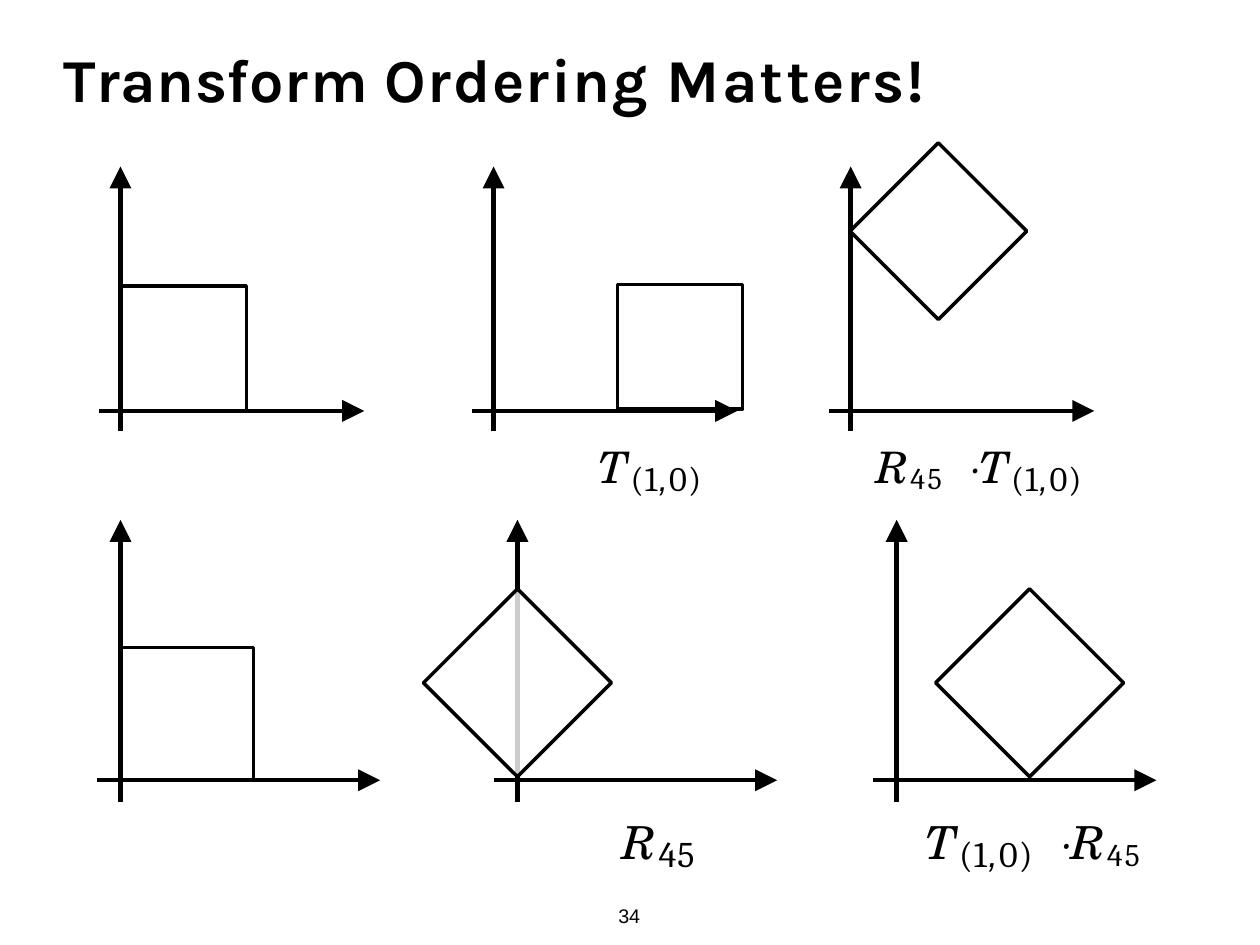
from dataclasses import dataclass
from math import sqrt

from lxml import etree
from pptx import Presentation
from pptx import util as u
from pptx.dml import color
from pptx.enum import shapes, text
from pptx.oxml import ns


@dataclass(frozen=True)
class Glyph:
    font: str
    scale: float
    baseline: int
    italic: bool
    spacing: float


@dataclass(frozen=True)
class Theme:
    ink: color.RGBColor = color.RGBColor(0, 0, 0)
    paper: color.RGBColor = color.RGBColor(255, 255, 255)
    veil: int = 80
    title_font: str = "Karla"
    title_size: float = 49.5
    number_font: str = "Arial"
    number_size: float = 16
    axis_width: float = 3.56
    outline_width: float = 2.84
    formula_indent: float = 0.04


@dataclass(frozen=True)
class Row:
    top: float
    base: float
    bottom: float
    back: float
    ahead: float
    side: float
    formula_top: float
    formula_size: float


GLYPHS = {
    "symbol": Glyph("TeX Gyre Schola", 1, 10, True, 1.6),
    "dot": Glyph("Karla", 1, 10, True, -5.8),
    "index": Glyph("Cambria", 0.46, 0, False, 0.9),
    "comma": Glyph("Arial", 0.46, 0, True, 0.9),
    "raised": Glyph("Cambria", 0.69, 2, False, 2),
}
TRANSLATE = [("T", "symbol"), ("(1", "index"), (",", "comma")]
UPPER = Row(1.88, 4.64, 4.87, 0.24, 2.75, 1.41, 4.69, 60.8)
LOWER = Row(5.87, 8.81, 9.05, 0.27, 2.93, 1.5, 8.9, 63.8)


class Slide:
    def __init__(self, page, theme):
        self.page = page
        self.theme = theme

    def textbox(self, left, top, width, height, inset=0.01):
        box = self.page.shapes.add_textbox(*map(u.Inches, (left, top, width, height)))
        frame = box.text_frame
        frame.word_wrap = True
        frame.vertical_anchor = text.MSO_ANCHOR.TOP
        frame.margin_left = frame.margin_right = frame.margin_bottom = 0
        frame.margin_top = u.Inches(inset)
        return frame.paragraphs[0]

    def style(self, font, name, size):
        font.name = name
        font.size = u.Pt(size)
        font.color.rgb = self.theme.ink

    def span(self, para, words, spacing):
        span = para.add_run()
        span.text = words
        properties = span._r.get_or_add_rPr()
        properties.set("spc", str(round(spacing * 100)))
        return span, properties

    def title(self, spans):
        para = self.textbox(0.72, 0.2, 12.23, 1.92, 0.27)
        self.style(para.font, self.theme.title_font, self.theme.title_size)
        para.font.bold = True
        for words, spacing in spans:
            self.span(para, words, spacing)

    def number(self, words):
        para = self.textbox(6.94, 10.19, 0.34, 0.29)
        self.indent(para)
        self.style(para.font, self.theme.number_font, self.theme.number_size)
        self.span(para, words, -0.2)

    def indent(self, para, tab=None):
        properties = para._p.get_or_add_pPr()
        properties.set("marL", str(u.Inches(self.theme.formula_indent)))
        if tab:
            stops = etree.SubElement(properties, ns.qn("a:tabLst"))
            etree.SubElement(stops, ns.qn("a:tab"), pos=str(u.Inches(tab)), algn="l")

    def formula(self, row, left, width, spans, tab=None):
        para = self.textbox(left, row.formula_top, width, 0.74)
        self.indent(para, tab)
        for words, kind in spans:
            glyph = GLYPHS[kind]
            span, properties = self.span(para, words, glyph.spacing)
            self.style(span.font, glyph.font, round(row.formula_size * glyph.scale, 1))
            span.font.italic = glyph.italic
            if glyph.baseline:
                properties.set("baseline", str(glyph.baseline * 1000))

    def arrow(self, *ends):
        line = self.page.shapes.add_connector(
            shapes.MSO_CONNECTOR.STRAIGHT, *map(u.Inches, ends))
        line.line.color.rgb = self.theme.ink
        line.line.width = u.Pt(self.theme.axis_width)
        etree.SubElement(line.line._get_or_add_ln(), ns.qn("a:tailEnd"),
                         type="triangle", w="lg", len="lg")
        etree.SubElement(line._element.spPr, ns.qn("a:effectLst"))

    def axes(self, row, origin):
        self.arrow(origin, row.bottom, origin, row.top)
        self.arrow(origin - row.back, row.base, origin + row.ahead, row.base)

    def outline(self, preset, left, top, size, veiled=False):
        shape = self.page.shapes.add_shape(
            preset, *map(u.Inches, (left, top, size, size)))
        shape.shadow.inherit = False
        if veiled:
            shape.fill.solid()
            shape.fill.fore_color.rgb = self.theme.paper
            tint = shape._element.spPr.find(".//" + ns.qn("a:srgbClr"))
            etree.SubElement(tint, ns.qn("a:alpha"), val=str(self.theme.veil * 1000))
        else:
            shape.fill.background()
        shape.line.color.rgb = self.theme.ink
        shape.line.width = u.Pt(self.theme.outline_width)
        etree.SubElement(shape.line._get_or_add_ln(), ns.qn("a:round"))

    def square(self, row, left, top):
        self.outline(shapes.MSO_SHAPE.RECTANGLE, left, top, row.side)

    def diamond(self, row, center, middle, veiled=False):
        size = row.side * sqrt(2)
        self.outline(shapes.MSO_SHAPE.DIAMOND, center - size / 2, middle - size / 2,
                     size, veiled)


def main():
    deck = Presentation()
    deck.slide_width = u.Inches(14.22)
    deck.slide_height = u.Inches(10.67)
    slide = Slide(deck.slides.add_slide(deck.slide_layouts[6]), Theme())

    slide.title([("T", -4.5), ("ransfo", 0.5), ("r", 1.3), ("m ", 0.5),
                 ("Ordering ", 1.3), ("Matters!", 1.8)])

    for row, left, top in ((UPPER, 1.37, 3.23), (UPPER, 6.97, 3.21), (LOWER, 1.36, 7.31)):
        slide.square(row, left, top)
    for row, origins in ((UPPER, (1.36, 5.57, 9.6)), (LOWER, (1.36, 5.84, 10.12))):
        for origin in origins:
            slide.axes(row, origin)
    slide.diamond(UPPER, 10.59, 2.61, veiled=True)
    slide.diamond(LOWER, 5.84, 7.71, veiled=True)
    slide.diamond(LOWER, 11.62, 7.71)

    slide.formula(UPPER, 6.72, 1.33, TRANSLATE + [("0)", "index")])
    slide.formula(UPPER, 9.85, 2.62, [("R", "symbol"), ("45\t", "raised"), ("· ", "dot"),
                                      *TRANSLATE, ("0)", "index")], tab=1.06)
    slide.formula(LOWER, 6.99, 1, [("R", "symbol"), ("45", "index")])
    slide.formula(LOWER, 10.41, 2.78, TRANSLATE + [("0)\t", "index"), ("· ", "dot"),
                                                   ("R", "symbol"), ("45", "raised")], tab=1.53)
    slide.number("34")
    deck.save("out.pptx")


if __name__ == "__main__":
    main()
